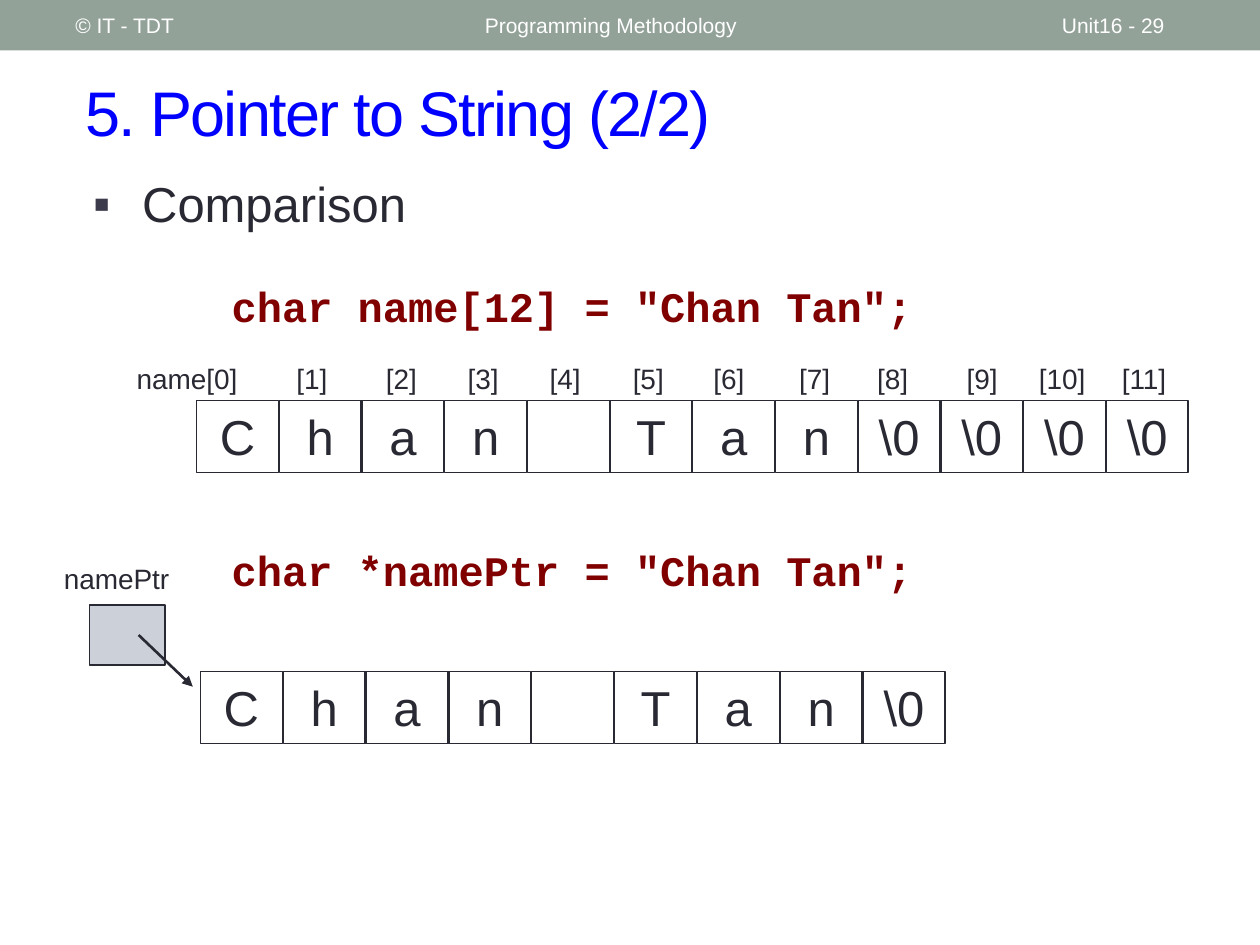
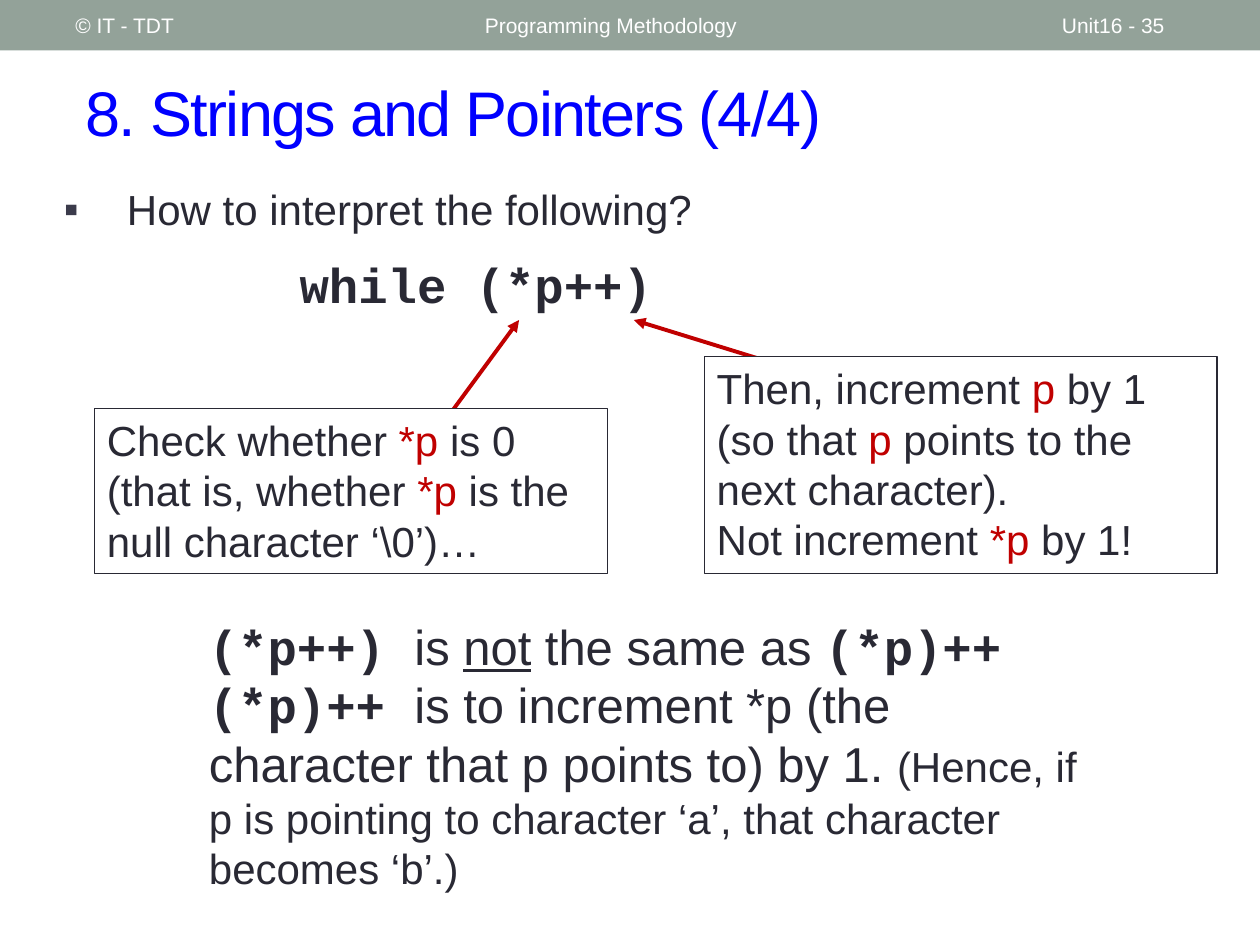
"""Build two lecture slides on strings and pointers in C."""
from lxml import etree
from pptx import Presentation
from pptx import util as u
from pptx.dml import color
from pptx.enum import shapes, text
from pptx.oxml import ns

COLOURS = {
    "band": "93A299", "title": "0000FF", "ink": "292934", "white": "FFFFFF",
    "code": "800000", "accent": "C00000", "pointer": "CCD1D9", "bullet": "3B3B4B",
}
SANS, MONO = "Arial", "Courier New"

HEADER = [("Programming Methodology", 3.75, 4.5), ("Unit16 - {}", 8.33, 1.17),
          ("© IT - TDT", 0.5, 3.17)]

DECLARATIONS = [('char name[12] = "Chan Tan";', (1.74, 2.18, 6.05, 0.5)),
                ('char *namePtr = "Chan Tan";', (1.74, 4.27, 6.28, 0.5))]
STRING_CELLS = ["C", "h", "a", "n", "", "T", "a", "n", "\\0"]
ARRAY_CELLS = STRING_CELLS + ["\\0"] * 3
CELL_WIDTH, CELL_HEIGHT = 0.65, 0.57
INDEX_TOP, INDEX_HEIGHT = 2.82, 0.37
INDEX_LABELS = [
    ("name[0]", 0.97, 1.03), ("[1]", 2.25, 0.45), ("[2]", 2.96, 0.45),
    ("[3]", 3.61, 0.45), ("[4]", 4.26, 0.45), ("[5]", 4.92, 0.45),
    ("[6]", 5.56, 0.45), ("[7]", 6.24, 0.45), ("[8]", 6.86, 0.45),
    ("[9]", 7.57, 0.45), ("[10]", 8.12, 0.62), ("[11]", 8.77, 0.62),
]

RED = {"colour": "accent"}
CODE = {"font": MONO, "bold": True}
CALLOUTS = [
    {"arrow": (3.45, 3.45, 4.12, 2.54), "box": (0.75, 3.24, 4.07, 1.31),
     "content": [[("Check whether ", {}), ("*p ", RED), ("is 0 (that is, whether ", {}),
                  ("*p ", RED), ("is the null character ‘\\0’)…", {})]]},
    {"arrow": (7.23, 3.22, 5.03, 2.54), "box": (5.59, 2.83, 4.07, 1.72),
     "content": [[("Then, increment ", {}), ("p", RED), (" by 1 (so that ", {}),
                  ("p", RED), (" points to the next character).", {})],
                 [("Not increment ", {}), ("*p ", RED), ("by 1!", {})]]},
]
CONCLUSION = [
    [("(*p++) ", CODE), ("is ", {}), ("not", {"underline": True}),
     (" the same as ", {}), ("(*p)++", CODE)],
    [("(*p)++ ", CODE),
     ("is to increment *p (the character that p points to) by 1. ", {}),
     ("(Hence, if p is pointing to character ‘a’, that character becomes ‘b’.)",
      {"size": 24})],
]


def rgb(name):
    return color.RGBColor.from_string(COLOURS[name])


def inches(values):
    return [u.Inches(value) for value in values]


def format_run(run, size=28, colour="ink", font=SANS, bold=False, underline=False):
    run.font.size = u.Pt(size)
    run.font.name = font
    run.font.bold = bold
    run.font.underline = underline
    run.font.color.rgb = rgb(colour)


def write(shape, content, align="LEFT", anchor="TOP", wrap=True, **run_format):
    """Fill a shape with a string or with paragraphs of (text, format) runs."""
    paragraphs = [[(content, {})]] if isinstance(content, str) else content
    frame = shape.text_frame
    frame.word_wrap = wrap
    frame.auto_size = text.MSO_AUTO_SIZE.NONE
    frame.vertical_anchor = getattr(text.MSO_ANCHOR, anchor)
    for index, runs in enumerate(paragraphs):
        paragraph = frame.add_paragraph() if index else frame.paragraphs[0]
        paragraph.alignment = getattr(text.PP_ALIGN, align)
        for words, changes in runs:
            run = paragraph.add_run()
            run.text = words
            format_run(run, **{**run_format, **changes})


def add_text(slide, box, content, **options):
    shape = slide.shapes.add_textbox(*inches(box))
    write(shape, content, **options)
    return shape


def add_box(slide, box, fill=None, line_width=None):
    shape = slide.shapes.add_shape(shapes.MSO_SHAPE.RECTANGLE, *inches(box))
    shape.shadow.inherit = False
    if fill:
        shape.fill.solid()
        shape.fill.fore_color.rgb = rgb(fill)
    else:
        shape.fill.background()
    if line_width:
        shape.line.color.rgb = rgb("ink")
        shape.line.width = u.Pt(line_width)
    else:
        shape.line.fill.background()
    return shape


def add_arrow(slide, ends, colour, width):
    arrow = slide.shapes.add_connector(shapes.MSO_CONNECTOR.STRAIGHT, *inches(ends))
    arrow.line.color.rgb = rgb(colour)
    arrow.line.width = u.Pt(width)
    etree.SubElement(arrow.line._get_or_add_ln(), ns.qn("a:tailEnd"), type="triangle")
    etree.SubElement(arrow._element.spPr, ns.qn("a:effectLst"))


def add_bullet(slide, box, words, indent, space_before, size):
    paragraph = add_text(slide, box, words, size=size).text_frame.paragraphs[0]
    paragraph.space_before = u.Pt(space_before)
    properties = paragraph._p.get_or_add_pPr()
    properties.set("marL", str(u.Inches(indent)))
    properties.set("indent", str(-u.Inches(indent)))
    bullet_colour = etree.SubElement(properties, ns.qn("a:buClr"))
    etree.SubElement(bullet_colour, ns.qn("a:srgbClr"), val=COLOURS["bullet"])
    etree.SubElement(properties, ns.qn("a:buFont"), typeface=SANS)
    etree.SubElement(properties, ns.qn("a:buChar"), char="▪")


def add_cells(slide, characters, first_left, last_left, top):
    pitch = (last_left - first_left) / (len(characters) - 1)
    for index, character in enumerate(characters):
        left = first_left + index * pitch
        cell = add_box(slide, (left, top, CELL_WIDTH, CELL_HEIGHT), line_width=0.75)
        if character:
            write(cell, character, align="CENTER", wrap=False)


def add_slide(presentation, title_words, number):
    slide = presentation.slides.add_slide(presentation.slide_layouts[5])
    add_box(slide, (0, 0, 10, 0.4), fill="band")
    title = slide.shapes.title
    title.left, title.top, title.width, title.height = inches((0.58, 0.42, 9.17, 0.92))
    write(title, title_words, anchor="MIDDLE", size=36, colour="title")
    title.text_frame.paragraphs[0].runs[0].font._element.set("spc", "-100")
    for words, left, width in HEADER:
        add_text(slide, (left, 0.02, width, 0.36), words.format(number),
                 anchor="MIDDLE", size=12, colour="white")
    return slide


def build_comparison(presentation):
    slide = add_slide(presentation, "5. Pointer to String (2/2)", 29)
    add_bullet(slide, (0.64, 1.33, 9, 0.56), "Comparison", 0.39, 12, 28)
    for declaration, box in DECLARATIONS:
        write(add_box(slide, box, fill="white"), declaration,
              size=24, colour="code", **CODE)
    add_text(slide, (0.35, 4.41, 1.15, 0.37), "namePtr",
             align="CENTER", wrap=False, size=16)
    add_box(slide, (0.71, 4.8, 0.6, 0.48), fill="pointer", line_width=1)
    add_arrow(slide, (1.1, 5.04, 1.53, 5.45), "ink", 1.5)
    add_cells(slide, STRING_CELLS, 1.59, 6.85, 5.33)
    add_cells(slide, ARRAY_CELLS, 1.56, 8.78, 3.18)
    for label, left, width in INDEX_LABELS:
        add_text(slide, (left, INDEX_TOP, width, INDEX_HEIGHT), label,
                 align="CENTER", wrap=False, size=16)


def build_interpretation(presentation):
    slide = add_slide(presentation, "8. Strings and Pointers (4/4)", 35)
    add_bullet(slide, (0.41, 1.41, 9.24, 0.79), "How to interpret the following?",
               0.5, 6, 24)
    add_text(slide, (2.28, 1.97, 4.48, 0.57), "while (*p++)", **CODE)
    for callout in CALLOUTS:
        add_arrow(slide, callout["arrow"], "accent", 2.25)
        box = add_box(slide, callout["box"], fill="white", line_width=0.75)
        write(box, callout["content"], size=24)
    add_text(slide, (1.56, 4.84, 7.19, 2.32), CONCLUSION)


def main():
    presentation = Presentation()
    presentation.slide_width, presentation.slide_height = inches((10, 7.5))
    build_comparison(presentation)
    build_interpretation(presentation)
    presentation.save("out.pptx")


if __name__ == "__main__":
    main()
